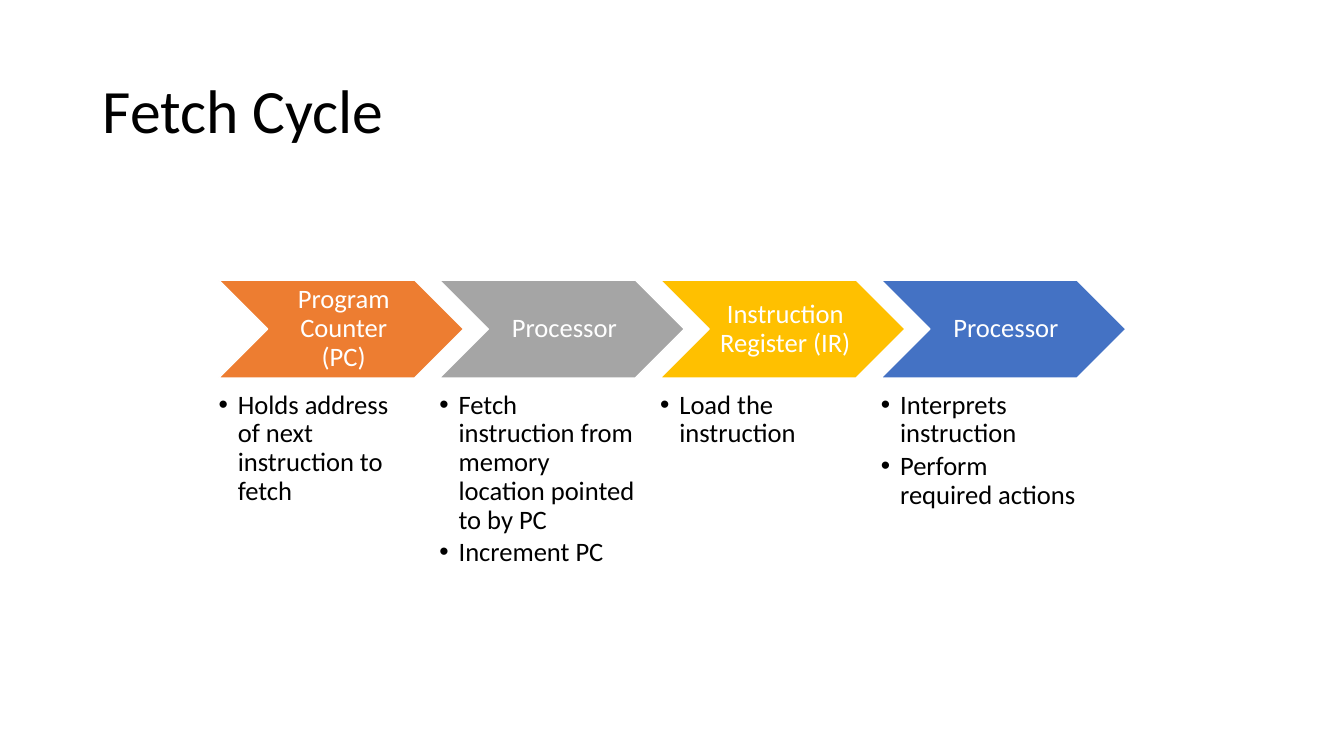
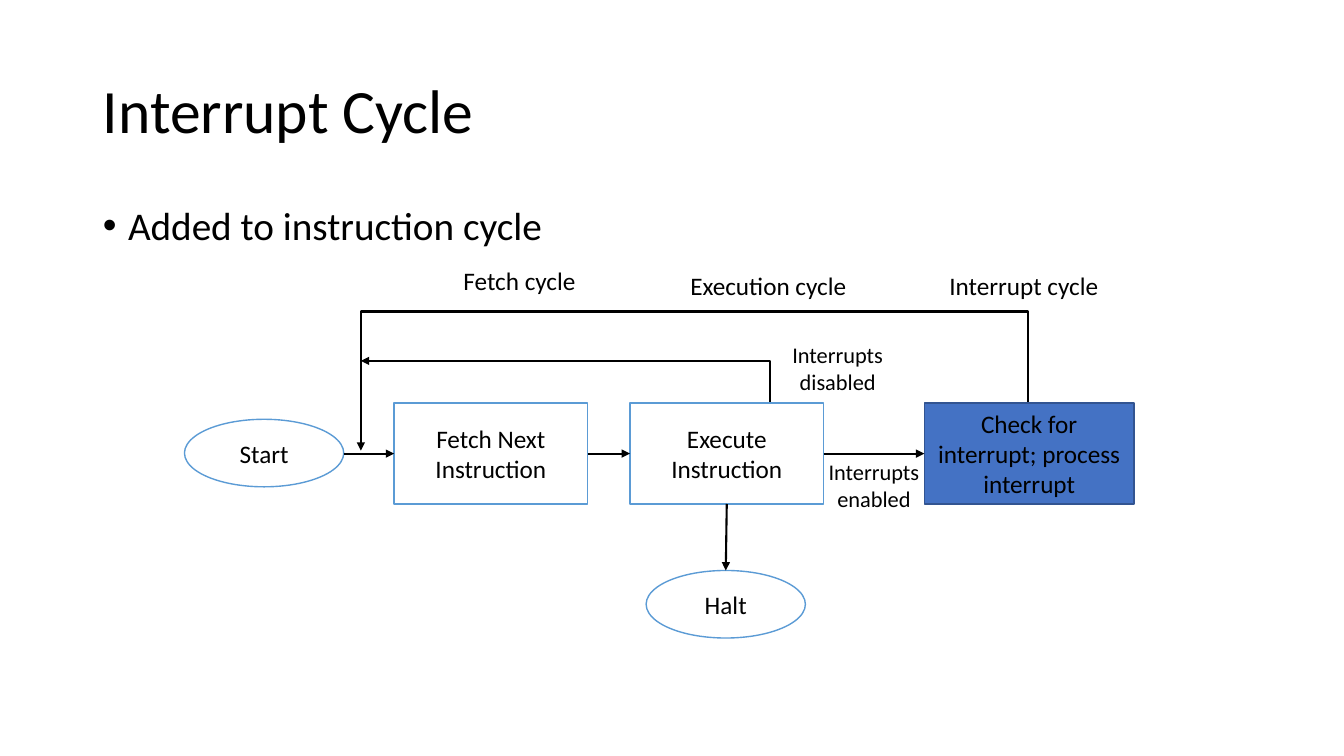
from lxml import etree
from pptx import Presentation
from pptx import util as u
from pptx.dml import color as c
from pptx.enum import shapes, text
from pptx.oxml import ns

PX = u.Inches(1) // 100  # 100 px to the inch
FONT = "Calibri"
BLACK, WHITE, BLUE = "000000", "FFFFFF", "4472C4"
OUTLINE, DARK_BLUE = "5B9BD5", "325491"
TITLE_ONLY, TITLE_AND_BODY = 5, 1
CENTER, LEFT = text.PP_ALIGN.CENTER, text.PP_ALIGN.LEFT
TOP, MIDDLE = text.MSO_ANCHOR.TOP, text.MSO_ANCHOR.MIDDLE


def px(*lengths):
    return [u.Emu(length * PX) for length in lengths]


def rgb(value):
    return c.RGBColor.from_string(value)


def add_xml(parent, tag, **attributes):
    return etree.SubElement(parent, ns.qn(tag), attributes)


def write(frame, *lines, size=18, color=BLACK, align=LEFT, anchor=TOP,
          spacing=1.0, before=0, after=0, bullet=0, insets=(10, 5, 10, 5),
          wrap=True):
    """Fill a text frame; bullet is the hanging indent in px."""
    frame.auto_size = text.MSO_AUTO_SIZE.NONE
    frame.word_wrap = wrap
    frame.vertical_anchor = anchor
    (frame.margin_left, frame.margin_top,
     frame.margin_right, frame.margin_bottom) = px(*insets)
    for number, line in enumerate(lines):
        para = frame.add_paragraph() if number else frame.paragraphs[0]
        para.alignment = align
        para.line_spacing = spacing
        para.space_before, para.space_after = u.Pt(before), u.Pt(after)
        span = para.add_run()
        span.text = line
        span.font.name, span.font.size = FONT, u.Pt(size)
        span.font.color.rgb = rgb(color)
        if bullet:
            properties = para._p.get_or_add_pPr()
            properties.set("marL", str(bullet * PX))
            properties.set("indent", str(-bullet * PX))
            add_xml(properties, "a:buFont", typeface="Arial")
            add_xml(properties, "a:buChar", char="•")


class Slides:
    """The deck, its style and the page being drawn."""

    def __init__(self, deck):
        self.deck = deck
        deck.slide_width, deck.slide_height = u.Inches(13.333), u.Inches(7.5)

    def new_page(self, title, layout):
        self.page = self.deck.slides.add_slide(self.deck.slide_layouts[layout])
        self.place(self.page.shapes.title, 92, 40, 1150, 145)
        write(self.page.shapes.title.text_frame, title, size=44,
              anchor=MIDDLE, spacing=0.9)

    def place(self, box, *bounds):
        box.left, box.top, box.width, box.height = px(*bounds)

    def body(self, *lines):
        box = self.page.placeholders[1]
        self.place(box, 92, 200, 1150, 476)
        write(box.text_frame, *lines, size=28, spacing=0.9, before=10,
              bullet=25)

    def shape(self, kind, bounds, caption, fill=WHITE, line=OUTLINE, **style):
        box = self.page.shapes.add_shape(kind, *px(*bounds))
        box.shadow.inherit = False
        box.fill.solid()
        box.fill.fore_color.rgb = rgb(fill)
        box.line.color.rgb = rgb(line)
        box.line.width = u.Pt(1)
        write(box.text_frame, caption, align=CENTER, anchor=MIDDLE, **style)
        return box

    def rectangle(self, bounds, caption, **style):
        return self.shape(shapes.MSO_SHAPE.RECTANGLE, bounds, caption, **style)

    def oval(self, bounds, caption):
        return self.shape(shapes.MSO_SHAPE.OVAL, bounds, caption)

    def label(self, bounds, *lines, **style):
        box = self.page.shapes.add_textbox(*px(*bounds))
        write(box.text_frame, *lines, **style)

    def arrow_line(self, line):
        line.color.rgb = rgb(BLACK)
        line.width = u.Pt(1.5)
        add_xml(line._get_or_add_ln(), "a:tailEnd", type="triangle")

    def arrow(self, start, end, begin=None, finish=None):
        """Straight arrow; begin and finish are (box, side) pairs to join."""
        arrow = self.page.shapes.add_connector(
            shapes.MSO_CONNECTOR.STRAIGHT, *px(*start, *end))
        if begin:
            arrow.begin_connect(*begin)
        if finish:
            arrow.end_connect(*finish)
        self.arrow_line(arrow.line)
        add_xml(arrow._element.spPr, "a:effectLst")

    def bent_arrow(self, start, *corners):
        builder = self.page.shapes.build_freeform(*start, scale=PX)
        builder.add_line_segments(corners, close=False)
        route = builder.convert_to_shape()
        route.shadow.inherit = False
        route.fill.background()
        self.arrow_line(route.line)


def fetch_cycle(slides):
    slides.new_page("Fetch Cycle", TITLE_ONLY)
    steps = [
        ("Program Counter (PC)", "ED7D31",
         ["Holds address of next instruction to fetch"]),
        ("Processor", "A5A5A5",
         ["Fetch instruction from memory location pointed to by PC",
          "Increment PC"]),
        ("Instruction Register (IR)", "FFC000", ["Load the instruction"]),
        ("Processor", BLUE,
         ["Interprets instruction", "Perform required actions"]),
    ]
    for number, (name, fill, details) in enumerate(steps):
        left = 217 + 219 * number
        slides.shape(shapes.MSO_SHAPE.CHEVRON, (left, 278, 243, 97), name,
                     fill=fill, line=WHITE, size=19, color=WHITE,
                     spacing=0.9, insets=(8, 3, 3, 3))
        slides.label((left, 388, 194, 179), *details, size=19, spacing=0.9,
                     after=3, bullet=19, insets=(0, 0, 0, 0))


def interrupt_cycle(slides):
    slides.new_page("Interrupt Cycle", TITLE_AND_BODY)
    slides.body("Added to instruction cycle")

    # Steps
    slides.oval((183, 416, 158, 67), "Start")
    fetch = slides.rectangle((391, 400, 192, 100), "Fetch Next Instruction")
    execute = slides.rectangle((625, 400, 192, 100), "Execute Instruction")
    check = slides.rectangle((917, 400, 208, 100),
                             "Check for interrupt; process interrupt",
                             fill=BLUE, line=DARK_BLUE)
    halt = slides.oval((641, 566, 158, 67), "Halt")

    # Forward arrows
    slides.arrow((341, 450), (391, 450), finish=(fetch, 1))
    slides.arrow((583, 450), (625, 450), (fetch, 3), (execute, 1))
    slides.arrow((817, 450), (917, 450), (execute, 3), (check, 1))
    slides.arrow((721, 500), (721, 566), (execute, 2), (halt, 0))

    # Return arrows
    slides.bent_arrow((1020, 399), (1020, 309), (358, 309), (358, 447))
    slides.bent_arrow((764, 399), (764, 358), (358, 358))

    # Labels
    for left, top, width, name in [(450, 258, 133, "Fetch cycle"),
                                   (675, 263, 177, "Execution cycle"),
                                   (932, 263, 169, "Interrupt cycle")]:
        slides.label((left, top, width, 40), name, wrap=False)
    for bounds, name in [((770, 334, 122, 64), "Interrupts disabled"),
                         ((802, 450, 130, 64), "Interrupts enabled")]:
        slides.label(bounds, name, size=16, align=CENTER)


def main():
    deck = Presentation()
    slides = Slides(deck)
    fetch_cycle(slides)
    interrupt_cycle(slides)
    deck.save("out.pptx")


if __name__ == "__main__":
    main()
